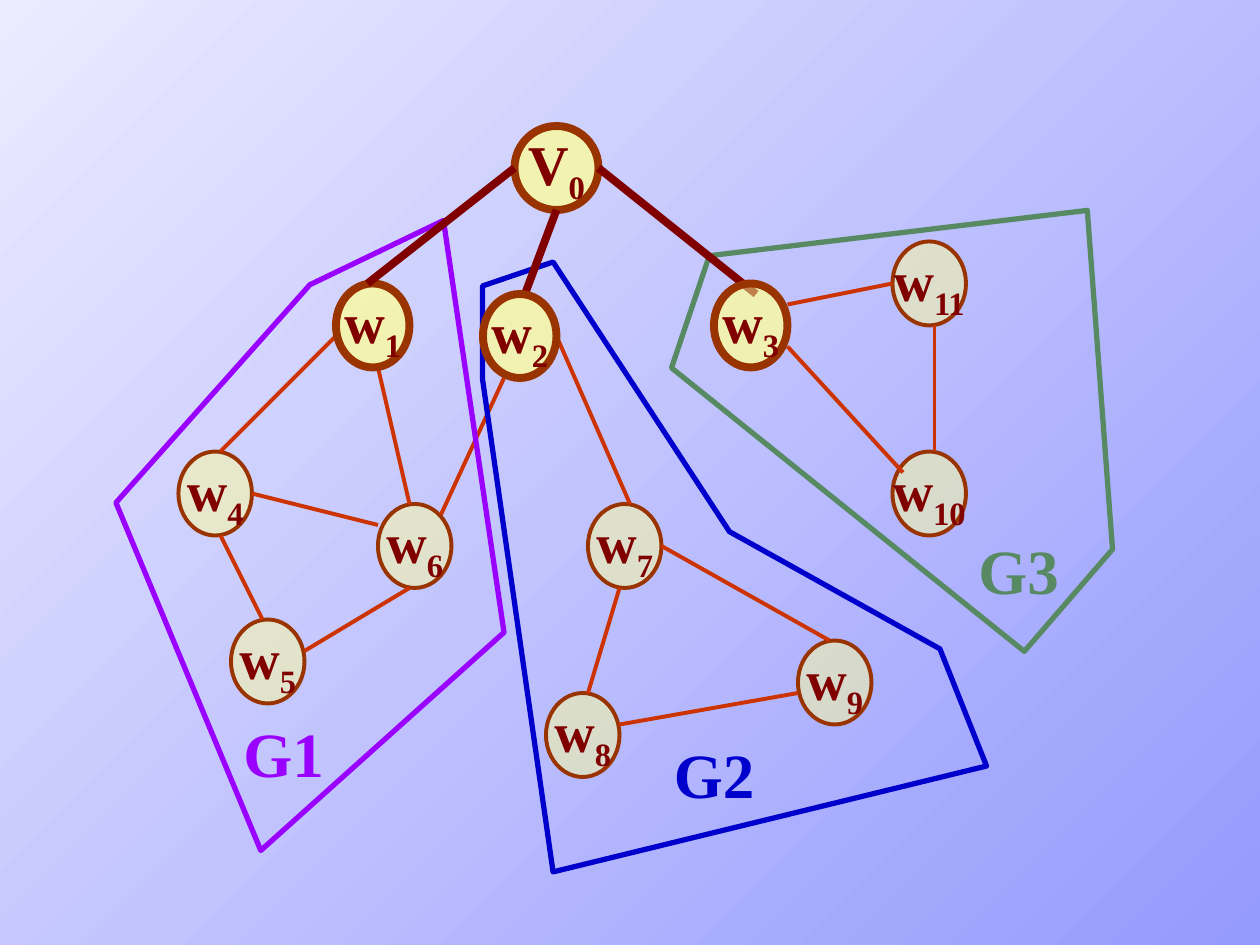
import pptx
import pptx.dml.color
import pptx.enum.shapes
import pptx.enum.text
import pptx.oxml.ns
import pptx.util
from lxml import etree
from typing import NamedTuple

# Grid: 120 columns by 90 rows over a 10 x 7.5 inch slide
CELL = pptx.util.Inches(10) // 120
FONT = "Times New Roman"
MAROON, BROWN, RUST, CREAM = "800000", "993300", "CC3300", "FFFF99"


class Node(NamedTuple):
    letter: str
    index: str
    col: int
    row: int
    cols: int = 7
    rows: int = 8


class Edge(NamedTuple):
    col1: int
    row1: int
    col2: int
    row2: int


class Region(NamedTuple):
    label: str
    color: str
    label_col: float
    label_row: float
    corners: list  # inches


ROOT_NODES = [Node("V", "0", 49, 12, 8), Node("w", "1", 32, 27)]
ROOT_EDGES = [Edge(49, 16, 35, 27), Edge(53, 20, 50, 28), Edge(57, 16, 72, 28)]
CHILD_NODES = [Node("w", "3", 68, 27), Node("w", "2", 46, 28)]
INNER_NODES = [
    Node("w", "4", 17, 43), Node("w", "5", 22, 59), Node("w", "6", 36, 48),
    Node("w", "8", 52, 66), Node("w", "7", 56, 48), Node("w", "10", 85, 43),
    Node("w", "9", 76, 61), Node("w", "11", 85, 23),
]
INNER_EDGES = [
    Edge(32, 32, 21, 43), Edge(21, 51, 25, 59), Edge(24, 47, 36, 50),
    Edge(36, 35, 39, 48), Edge(39, 56, 29, 62), Edge(48, 36, 42, 49),
    Edge(53, 32, 60, 48), Edge(59, 56, 56, 66), Edge(63, 52, 79, 61),
    Edge(75, 33, 86, 45), Edge(59, 69, 76, 66), Edge(75, 29, 85, 27),
    Edge(89, 31, 89, 43),
]
REGIONS = [
    Region("G1", "9900FF", 22, 67.5, [
        (3.52, 1.75), (4, 5.02), (2.07, 6.75), (0.92, 3.99), (2.46, 2.26)]),
    Region("G2", "0000CC", 63, 69.5, [
        (4.39, 2.08), (3.83, 2.27), (3.83, 3.01), (4.39, 6.92),
        (7.83, 6.08), (7.46, 5.15), (5.79, 4.22)]),
    Region("G3", "578963", 92, 50, [
        (5.63, 2.03), (5.33, 2.92), (8.13, 5.17), (8.83, 4.36), (8.63, 1.67)]),
]


def rgb(color: str) -> pptx.dml.color.RGBColor:
    return pptx.dml.color.RGBColor.from_string(color)


def cells(*counts: float) -> list:
    return [pptx.util.Emu(round(count * CELL)) for count in counts]


def set_line(line, color: str, width: float) -> None:
    line.color.rgb = rgb(color)
    line.width = pptx.util.Pt(width)


def add_run(paragraph, text: str, color: str, size: float):
    run = paragraph.add_run()
    run.text = text
    run.font.color.rgb = rgb(color)
    text_format = {"name": FONT, "size": pptx.util.Pt(size), "bold": True}
    for attribute, value in text_format.items():
        setattr(run.font, attribute, value)
    return run


def draw_node(shapes, node: Node, color: str, width: float) -> None:
    oval = shapes.add_shape(pptx.enum.shapes.MSO_SHAPE.OVAL,
                            *cells(node.col, node.row, node.cols, node.rows))
    oval.shadow.inherit = False
    set_line(oval.line, color, width)
    # Half-transparent fill
    oval.fill.solid()
    oval.fill.fore_color.rgb = rgb(CREAM)
    fill_color = oval.fill._xPr.find(".//" + pptx.oxml.ns.qn("a:srgbClr"))
    etree.SubElement(fill_color, pptx.oxml.ns.qn("a:alpha"), val="50000")
    # Letter with subscript
    frame = oval.text_frame
    frame.word_wrap = False
    frame.vertical_anchor = pptx.enum.text.MSO_ANCHOR.MIDDLE
    paragraph = frame.paragraphs[0]
    paragraph.alignment = pptx.enum.text.PP_ALIGN.CENTER
    add_run(paragraph, node.letter, MAROON, 32)
    subscript = add_run(paragraph, node.index, MAROON, 32)
    subscript.font._element.set("baseline", "-25000")


def draw_edge(shapes, edge: Edge, color: str, width: float) -> None:
    connector = shapes.add_connector(
        pptx.enum.shapes.MSO_CONNECTOR.STRAIGHT, *cells(*edge))
    set_line(connector.line, color, width)
    etree.SubElement(connector._element.spPr, pptx.oxml.ns.qn("a:effectLst"))


def draw_root_tree(shapes, node_color: str, edge_color: str, width: float) -> None:
    for node in ROOT_NODES:
        draw_node(shapes, node, node_color, width)
    for edge in ROOT_EDGES:
        draw_edge(shapes, edge, edge_color, width)
    for node in CHILD_NODES:
        draw_node(shapes, node, node_color, width)


def draw_region(shapes, region: Region) -> None:
    corners = [(pptx.util.Inches(x), pptx.util.Inches(y)) for x, y in region.corners]
    builder = shapes.build_freeform(*corners[0])
    builder.add_line_segments(corners[1:], close=True)
    outline = builder.convert_to_shape()
    outline.shadow.inherit = False
    outline.fill.background()
    set_line(outline.line, region.color, 3)
    label = shapes.add_textbox(*cells(region.label_col, region.label_row, 12, 8.4))
    label.text_frame.word_wrap = True
    add_run(label.text_frame.paragraphs[0], region.label, region.color, 36)


def main() -> None:
    presentation = pptx.Presentation()
    presentation.slide_width, presentation.slide_height = cells(120, 90)
    slide = presentation.slides.add_slide(presentation.slide_layouts[6])

    # Diagonal background gradient
    background = slide.background.fill
    background.gradient()
    background.gradient_angle = 135
    for stop, color in zip(background.gradient_stops, ("959AFD", "EBEBFF")):
        stop.color.rgb = rgb(color)

    # Whole graph
    graph = slide.shapes.add_group_shape().shapes
    draw_root_tree(graph, RUST, RUST, 2)
    for node in INNER_NODES:
        draw_node(graph, node, BROWN, 2.25)
    for edge in INNER_EDGES:
        draw_edge(graph, edge, RUST, 2.25)

    # Subgraph regions
    for region in REGIONS:
        draw_region(slide.shapes.add_group_shape().shapes, region)

    # Emphasised root and its children
    draw_root_tree(slide.shapes.add_group_shape().shapes, BROWN, MAROON, 4.5)

    presentation.save("out.pptx")


if __name__ == "__main__":
    main()
